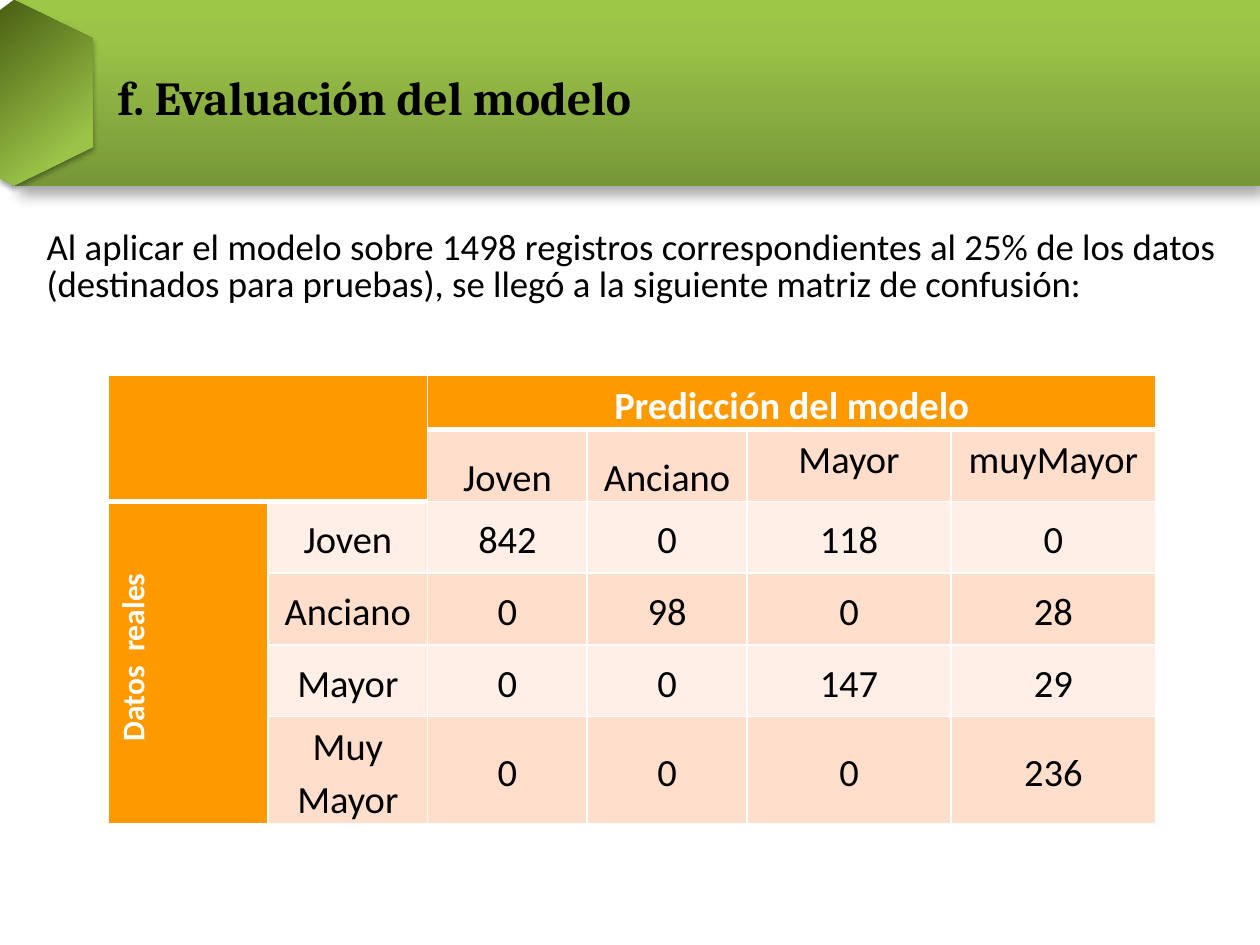
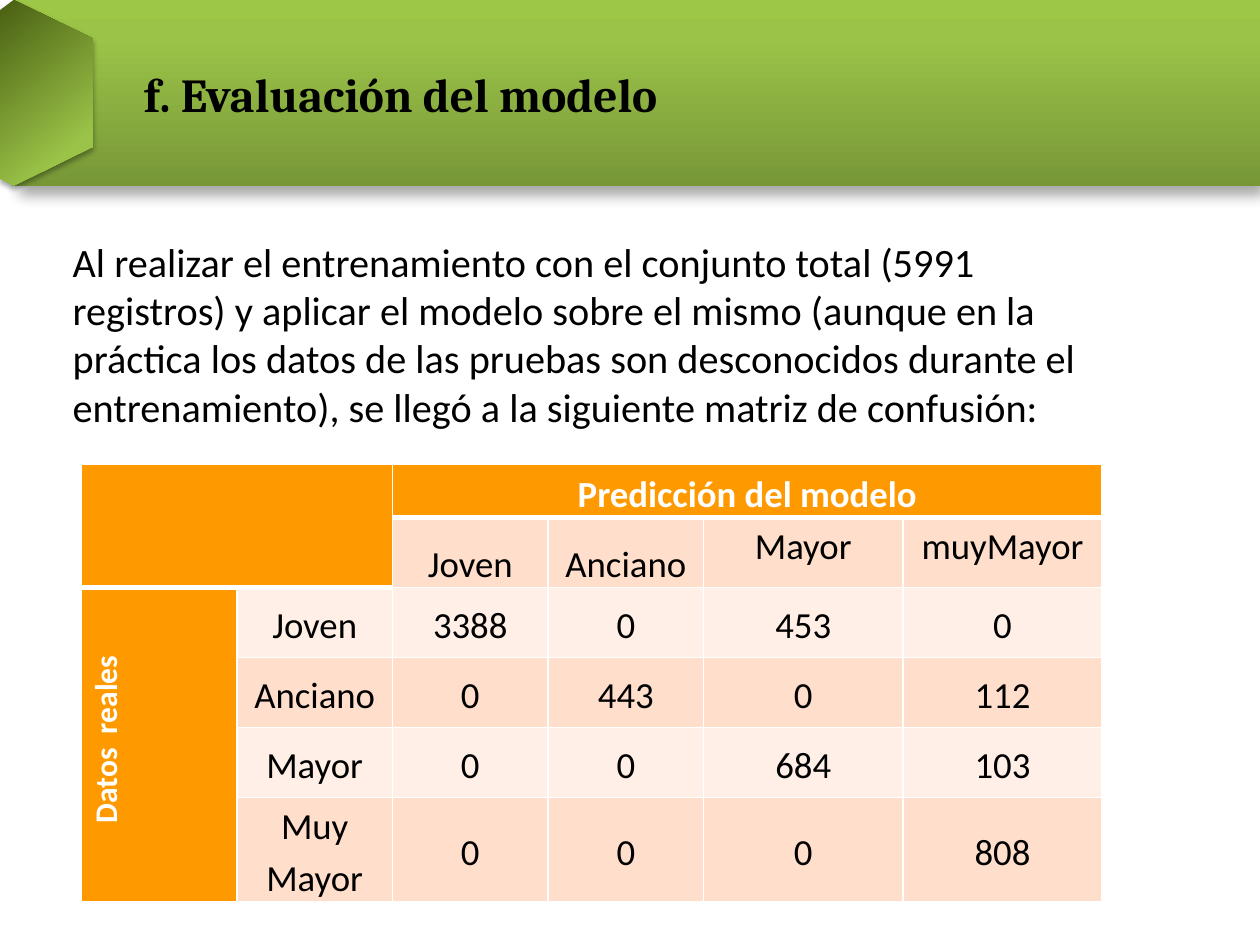
"""Build two slides that show the confusion matrices of a model."""
from lxml.etree import SubElement
from pptx import Presentation
from pptx.dml.color import RGBColor
from pptx.enum.shapes import MSO_SHAPE
from pptx.enum.text import MSO_ANCHOR, PP_ALIGN
from pptx.oxml.ns import qn
from pptx.util import Pt

BLACK, WHITE = "000000", "FFFFFF"
ORANGE, PEACH, CREAM = "FF9900", "FFDECC", "FFEFE7"
DARK_GREEN, OLIVE, GREEN, LIGHT_GREEN = "495F12", "779737", "9BC348", "9DC746"

TITLE = "f. Evaluación del modelo"
HEXAGON = [(0, 6), (8, 0), (53, 22), (53, 84), (8, 106), (0, 102)]
CLASSES = ["Joven", "Anciano", "Mayor", "muyMayor"]
ROW_CLASSES = ["Joven", "Anciano", "Mayor", "Muy\nMayor"]
COLUMN_WIDTHS = [91.2] * 4 + [116.8] * 2
ROW_HEIGHTS = [31] + [41] * 4 + [61.5]

TEST_TEXT = (
    "Al aplicar el modelo sobre 1498 registros correspondientes al 25% de los datos "
    "(destinados para pruebas), se llegó a la siguiente matriz de confusión:"
)
TEST_COUNTS = [[842, 0, 118, 0], [0, 98, 0, 28], [0, 0, 147, 29], [0, 0, 0, 236]]
TOTAL_TEXT = (
    "Al realizar el entrenamiento con el conjunto total (5991 registros) y aplicar el "
    "modelo sobre el mismo (aunque en la práctica los datos de las pruebas son "
    "desconocidos durante el entrenamiento), se llegó a la siguiente matriz de confusión:"
)
TOTAL_COUNTS = [[3388, 0, 453, 0], [0, 443, 0, 112], [0, 0, 684, 103], [0, 0, 0, 808]]


def color(value):
    """Turn a hex string into a colour."""
    return RGBColor.from_string(value)


def set_attributes(target, values):
    """Set each named value on the target."""
    for name, value in values.items():
        setattr(target, name, value)


def add_element(parent, tag, **attributes):
    """Append a drawing element with the given attributes."""
    return SubElement(parent, qn(tag), {key: str(value) for key, value in attributes.items()})


def write_text(frame, text, size, font="Calibri", ink=BLACK, bold=False, **layout):
    """Fill a text frame, one paragraph a line, in one format."""
    frame.text = text
    for para in frame.paragraphs:
        set_attributes(para, layout)
        for span in para.runs:
            set_attributes(span.font, {"name": font, "size": Pt(size), "bold": bold})
            span.font.color.rgb = color(ink)


def style_shape(shape, first_color, angle, blur, distance, direction):
    """Give a shape a green gradient, no outline and a soft shadow."""
    shape.fill.gradient()
    shape.fill.gradient_angle = angle
    shape.line.fill.background()
    shape.shadow.inherit = False
    properties = shape.element.spPr
    stops = properties.find(".//" + qn("a:gsLst"))
    stops.clear()
    for position, value in [(0, first_color), (80, GREEN), (100, LIGHT_GREEN)]:
        stop = add_element(stops, "a:gs", pos=position * 1000)
        add_element(stop, "a:srgbClr", val=value)
    shadow = add_element(
        properties.find(qn("a:effectLst")), "a:outerShdw", blurRad=Pt(blur),
        dist=Pt(distance), dir=direction * 60000, algn="ctr", rotWithShape=0)
    shade = add_element(shadow, "a:srgbClr", val=BLACK)
    add_element(shade, "a:alpha", val=35000)


def add_header(slide):
    """Draw the green band and the hexagon."""
    band = slide.shapes.add_shape(MSO_SHAPE.RECTANGLE, Pt(8), 0, Pt(712), Pt(106.5))
    style_shape(band, OLIVE, 90, 8, 5, 60)
    builder = slide.shapes.build_freeform(*HEXAGON[0], scale=Pt(1))
    builder.add_line_segments(HEXAGON[1:], close=True)
    style_shape(builder.convert_to_shape(), DARK_GREEN, 310, 3.1, 1.8, 90)


def add_slide(deck, left, top, width):
    """Add a slide with its header and its title on top."""
    slide = deck.slides.add_slide(deck.slide_layouts[5])
    add_header(slide)
    title = slide.shapes.title
    set_attributes(title, {"left": Pt(left), "top": Pt(top), "width": Pt(width), "height": Pt(90)})
    title.text_frame.vertical_anchor = MSO_ANCHOR.MIDDLE
    write_text(title.text_frame, TITLE, 27, "Cambria", bold=True,
               alignment=PP_ALIGN.LEFT, line_spacing=0.8)
    slide.shapes.element.append(title.element)
    return slide


def add_text(slide, text, left, top, width, height, size, **layout):
    """Add a wrapped text box."""
    box = slide.shapes.add_textbox(Pt(left), Pt(top), Pt(width), Pt(height))
    box.text_frame.word_wrap = True
    write_text(box.text_frame, text, size, **layout)


def is_thick(row, column):
    """Tell whether the line below a cell closes a heading."""
    return (row == 0 and column >= 2) or (row == 1 and column < 2)


def add_borders(cell, row, column):
    """Draw the white lines around a cell."""
    top = 3 if is_thick(row - 1, column) else 1
    bottom = 3 if is_thick(row, column) else 1
    properties = cell._tc.get_or_add_tcPr()
    for side, width in [("L", 1), ("R", 1), ("T", top), ("B", bottom)]:
        line = add_element(properties, f"a:ln{side}", w=Pt(width))
        add_element(add_element(line, "a:solidFill"), "a:srgbClr", val=WHITE)


def cell_fill(row, column):
    """Pick the fill of a cell from its place in the matrix."""
    if row == 0 or column == 0 or (row == 1 and column == 1):
        return ORANGE
    return CREAM if row in (2, 4) else PEACH


def cell_anchor(row, column):
    """Pick the vertical place of the text in a cell."""
    if row > 1:
        return MSO_ANCHOR.MIDDLE
    return MSO_ANCHOR.TOP if row == 1 and column > 3 else MSO_ANCHOR.BOTTOM


def add_matrix(slide, counts, left, top, size, scale=1):
    """Add a confusion matrix as a table."""
    widths = [Pt(width * scale) for width in COLUMN_WIDTHS]
    heights = [Pt(height * scale) for height in ROW_HEIGHTS]
    table = slide.shapes.add_table(
        len(heights), len(widths), Pt(left), Pt(top), sum(widths), sum(heights)).table
    set_attributes(table, {"first_row": False, "horz_banding": False})
    for column, width in zip(table.columns, widths):
        column.width = width
    for row, height in zip(table.rows, heights):
        row.height = height

    content = [["", "", "Predicción del modelo", "", "", ""], ["", "", *CLASSES]]
    content += [["", name, *values] for name, values in zip(ROW_CLASSES, counts)]
    content[2][0] = "Datos  reales"
    for row, values in enumerate(content):
        for column, value in enumerate(values):
            cell = table.cell(row, column)
            add_borders(cell, row, column)
            cell.fill.solid()
            cell.fill.fore_color.rgb = color(cell_fill(row, column))
            set_attributes(cell, {
                "margin_left": Pt(3.6), "margin_right": Pt(3.6), "margin_top": 0,
                "margin_bottom": 0, "vertical_anchor": cell_anchor(row, column)})
            heading = row == 0 or column == 0
            write_text(cell.text_frame, str(value), size if column else 18,
                       ink=WHITE if heading else BLACK, bold=heading,
                       alignment=PP_ALIGN.CENTER, line_spacing=1.15)

    for first, last in [((0, 0), (1, 1)), ((0, 2), (0, 5)), ((2, 0), (5, 0))]:
        table.cell(*first).merge(table.cell(*last))
    side_heading = table.cell(2, 0)
    side_heading._tc.get_or_add_tcPr().set("vert", "vert270")
    paragraph = side_heading.text_frame.paragraphs[0]
    paragraph._p.get_or_add_pPr().set("marL", str(Pt(6)))


def main():
    """Build and save the deck."""
    deck = Presentation()
    set_attributes(deck, {"slide_width": Pt(720), "slide_height": Pt(540)})

    slide = add_slide(deck, 60, 13, 648)
    add_text(slide, TEST_TEXT, 19.5, 128, 682.5, 60, 21, alignment=PP_ALIGN.JUSTIFY,
             line_spacing=0.85, space_before=Pt(3))
    add_matrix(slide, TEST_COUNTS, 62, 214.5, 22)

    slide = add_slide(deck, 75, 11.5, 450)
    add_text(slide, TOTAL_TEXT, 34.5, 132, 623, 147, 23)
    add_matrix(slide, TOTAL_COUNTS, 46.5, 265.5, 21, 0.975)

    deck.save("out.pptx")


if __name__ == "__main__":
    main()
